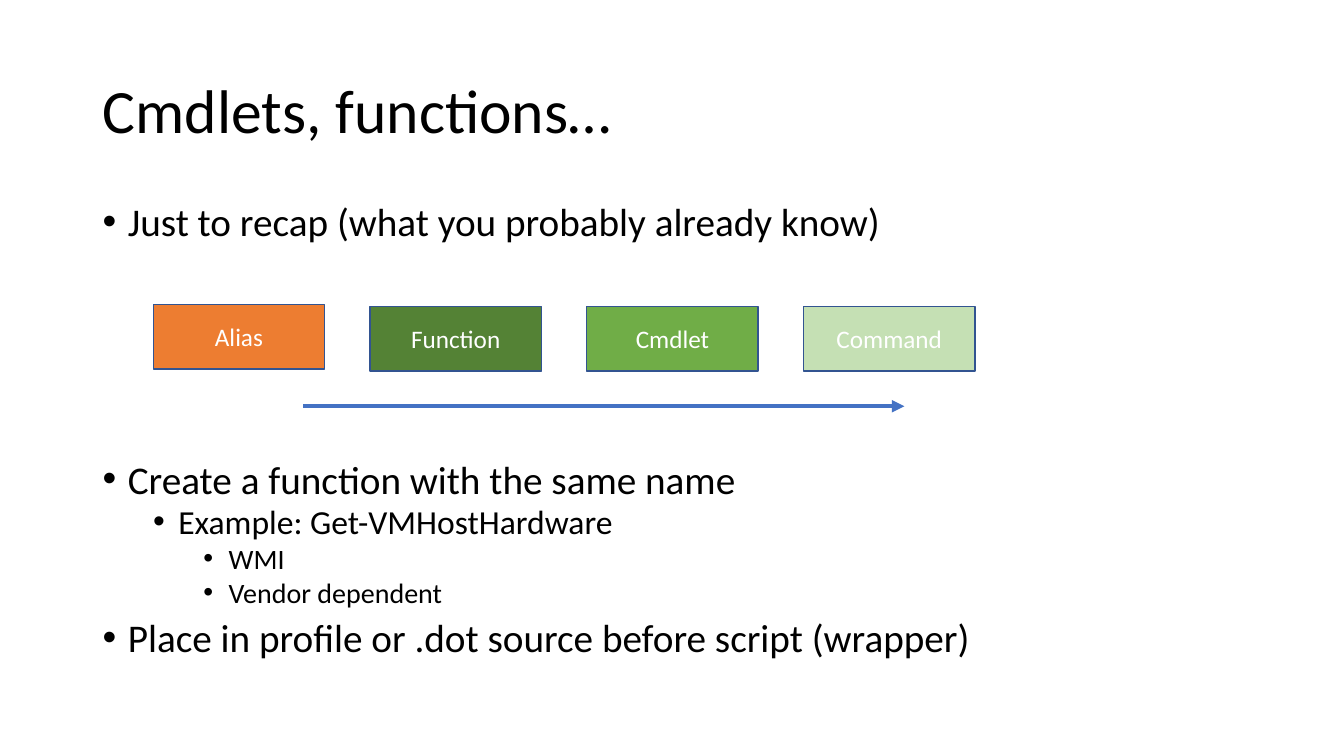
from dataclasses import dataclass

from lxml import etree
from pptx import Presentation, util as u
from pptx.dml.color import RGBColor
from pptx.enum import shapes, text
from pptx.oxml.ns import qn


@dataclass(frozen=True)
class Theme:
    font: str = "Calibri"
    ink: str = "000000"
    box_ink: str = "FFFFFF"
    outline: str = "325491"
    arrow: str = "4472C4"
    title_size: int = 44
    level_sizes: tuple = (28, 24, 20)
    box_size: int = 18


THEME = Theme()


def style(paragraph, size, colour):
    for run in paragraph.runs:
        run.font.name = THEME.font
        run.font.size = u.Pt(size)
        run.font.color.rgb = RGBColor.from_string(colour)


def add_bullet(paragraph, level):
    props = paragraph._p.get_or_add_pPr()
    props.set("marL", str(u.Inches(0.25 + 0.5 * level)))
    props.set("indent", str(u.Inches(-0.25)))
    etree.SubElement(props, qn("a:buFont")).set("typeface", "Arial")
    etree.SubElement(props, qn("a:buChar")).set("char", "•")


prs = Presentation()
prs.slide_width, prs.slide_height = u.Inches(13.33), u.Inches(7.5)
slide = prs.slides.add_slide(prs.slide_layouts[5])

# Title
title = slide.shapes.title
title.left, title.top = u.Inches(0.92), u.Inches(0.4)
title.width, title.height = u.Inches(11.5), u.Inches(1.45)
title.text_frame.text = "Cmdlets, functions…"
title.text_frame.auto_size = text.MSO_AUTO_SIZE.NONE
title.text_frame.vertical_anchor = text.MSO_ANCHOR.MIDDLE
heading = title.text_frame.paragraphs[0]
heading.alignment = text.PP_ALIGN.LEFT
heading.line_spacing = 0.9
style(heading, THEME.title_size, THEME.ink)

# Bullets: level, space before in points, wording
# The second point leaves room for the row of boxes
points = [
    (0, 10, "Just to recap (what you probably already know)"),
    (0, 157, "Create a function with the same name"),
    (1, 5, "Example: Get-VMHostHardware"),
    (2, 5, "WMI"),
    (2, 5, "Vendor dependent"),
    (0, 10, "Place in profile or .dot source before script (wrapper)"),
]
body = slide.shapes.add_textbox(u.Inches(0.92), u.Inches(2), u.Inches(11.5), u.Inches(4.76))
body.text_frame.word_wrap = True
for index, (level, gap, wording) in enumerate(points):
    point = body.text_frame.add_paragraph() if index else body.text_frame.paragraphs[0]
    point.text = wording
    point.level = level
    point.line_spacing = 0.8
    point.space_before = u.Pt(gap)
    add_bullet(point, level)
    style(point, THEME.level_sizes[level], THEME.ink)

# Command types in order of precedence
command_types = [
    ("Alias", "ED7D31", 3.02),
    ("Function", "548235", 3.04),
    ("Cmdlet", "70AD47", 3.04),
    ("Command", "C5E0B4", 3.04),
]
for column, (label, fill, top) in enumerate(command_types):
    box = slide.shapes.add_shape(
        shapes.MSO_SHAPE.RECTANGLE,
        u.Inches(1.52 + 2.15 * column), u.Inches(top), u.Inches(1.7), u.Inches(0.64))
    box.shadow.inherit = False
    box.fill.solid()
    box.fill.fore_color.rgb = RGBColor.from_string(fill)
    box.line.color.rgb = RGBColor.from_string(THEME.outline)
    box.line.width = u.Pt(1)
    box.text_frame.text = label
    box.text_frame.vertical_anchor = text.MSO_ANCHOR.MIDDLE
    box.text_frame.paragraphs[0].alignment = text.PP_ALIGN.CENTER
    style(box.text_frame.paragraphs[0], THEME.box_size, THEME.box_ink)

# Precedence arrow
precedence = slide.shapes.add_connector(
    shapes.MSO_CONNECTOR.STRAIGHT,
    u.Inches(3.01), u.Inches(4.03), u.Inches(8.97), u.Inches(4.03))
precedence.line.color.rgb = RGBColor.from_string(THEME.arrow)
precedence.line.width = u.Pt(3)
etree.SubElement(precedence.line._get_or_add_ln(), qn("a:tailEnd")).set("type", "triangle")
etree.SubElement(precedence._element.spPr, qn("a:effectLst"))

prs.save("out.pptx")
